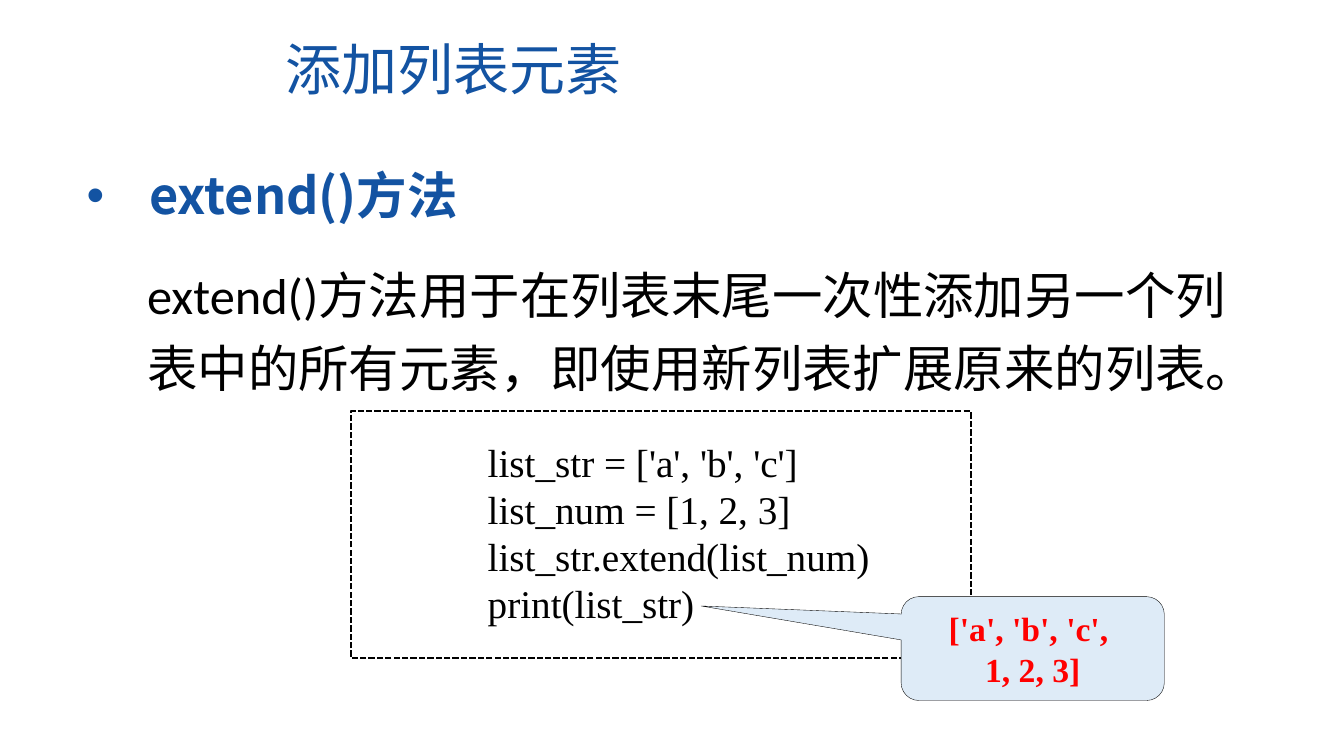
from dataclasses import dataclass

from lxml.etree import SubElement
from pptx import Presentation
from pptx.dml.color import RGBColor
from pptx.enum.dml import MSO_LINE
from pptx.enum.shapes import MSO_SHAPE
from pptx.enum.text import MSO_ANCHOR, MSO_AUTO_SIZE, PP_ALIGN
from pptx.oxml.ns import qn
from pptx.util import Inches, Pt

CJK_FONT = "Noto Sans CJK SC"
CODE_FONT = "Times New Roman"
BLUE, BLACK, RED, PALE_BLUE = "1353A2", "000000", "FF0000", "DEEBF7"


@dataclass(frozen=True)
class Place:
    """Left, top, width and height in percent of the slide's size."""
    left: float
    top: float
    width: float
    height: float


@dataclass(frozen=True)
class TextStyle:
    font: str
    size: int
    color: str
    bold: bool = False
    align: PP_ALIGN = PP_ALIGN.LEFT
    anchor: MSO_ANCHOR = MSO_ANCHOR.TOP
    line_spacing: float = 1.0
    hanging: float = 0.0


TITLE = TextStyle(CJK_FONT, 40, BLUE)
HEADING = TextStyle(CJK_FONT, 36, BLUE, bold=True, hanging=0.62)
DESCRIPTION = TextStyle("Calibri", 36, BLACK, line_spacing=1.2)
CODE = TextStyle(CODE_FONT, 28, BLACK)
RESULT = TextStyle(CODE_FONT, 24, RED, bold=True, align=PP_ALIGN.CENTER,
                   anchor=MSO_ANCHOR.MIDDLE)

deck = Presentation()
deck.slide_width, deck.slide_height = Inches(13.33), Inches(7.5)


def rgb(color: str) -> RGBColor:
    return RGBColor.from_string(color)


def bounds(place: Place) -> tuple[int, int, int, int]:
    across, down = deck.slide_width / 100, deck.slide_height / 100
    return (int(place.left * across), int(place.top * down),
            int(place.width * across), int(place.height * down))


def move(shape, place: Place) -> None:
    shape.left, shape.top, shape.width, shape.height = bounds(place)


def write(shape, lines: list[str], style: TextStyle) -> None:
    frame = shape.text_frame
    frame.text = "\n".join(lines)
    frame.word_wrap = True
    frame.auto_size = MSO_AUTO_SIZE.NONE
    frame.vertical_anchor = style.anchor
    for para in frame.paragraphs:
        para.alignment = style.align
        para.line_spacing = style.line_spacing
        para.space_before = Pt(0)
        font = para.font
        font.name, font.size, font.bold = style.font, Pt(style.size), style.bold
        font.color.rgb = rgb(style.color)
        properties = para._p.get_or_add_pPr()
        east_asian = SubElement(properties.find(qn("a:defRPr")), qn("a:ea"))
        east_asian.set("typeface", CJK_FONT)
        properties.set("marL", str(Inches(style.hanging)))
        properties.set("indent", str(-Inches(style.hanging)))
        bullet = properties.makeelement(qn("a:buChar" if style.hanging else "a:buNone"))
        if style.hanging:
            bullet.set("char", "•")
        properties.find(qn("a:defRPr")).addprevious(bullet)


def add_outlined(page, kind: MSO_SHAPE, place: Place, line_width: float):
    shape = page.shapes.add_shape(kind, *bounds(place))
    shape.shadow.inherit = False
    shape.fill.background()
    shape.line.color.rgb = rgb(BLACK)
    shape.line.width = Pt(line_width)
    return shape


def build() -> None:
    page = deck.slides.add_slide(deck.slide_layouts.get_by_name("Two Content"))
    title, heading, description = page.placeholders

    move(title, Place(20.5, 3.87, 44.1, 10.27))
    write(title, ["添加列表元素"], TITLE)
    move(heading, Place(5.7, 21.07, 60, 9.47))
    write(heading, ["extend()方法"], HEADING)
    move(description, Place(10.2, 32.67, 82.5, 20.8))
    write(description, ["extend()方法用于在列表末尾一次性添加另一个列表中的所有元素，"
                        "即使用新列表扩展原来的列表。"], DESCRIPTION)

    code_frame = add_outlined(page, MSO_SHAPE.RECTANGLE,
                              Place(26.1, 54.4, 46.13, 32.67), 1.5)
    code_frame.line.dash_style = MSO_LINE.SQUARE_DOT

    code = page.shapes.add_textbox(*bounds(Place(35.55, 57.33, 35.03, 26.53)))
    write(code, ["list_str = ['a', 'b', 'c']", "list_num = [1, 2, 3]",
                 "list_str.extend(list_num)", "print(list_str)"], CODE)

    result = add_outlined(page, MSO_SHAPE.ROUNDED_RECTANGULAR_CALLOUT,
                          Place(67.05, 78.93, 19.58, 13.73), 0.25)
    result.fill.solid()
    result.fill.fore_color.rgb = rgb(PALE_BLUE)
    for index, value in enumerate((-1.26, -0.41, 0.17)):
        result.adjustments[index] = value
    write(result, ["['a', 'b', 'c', ", "1, 2, 3]"], RESULT)

    deck.save("out.pptx")


if __name__ == "__main__":
    build()
